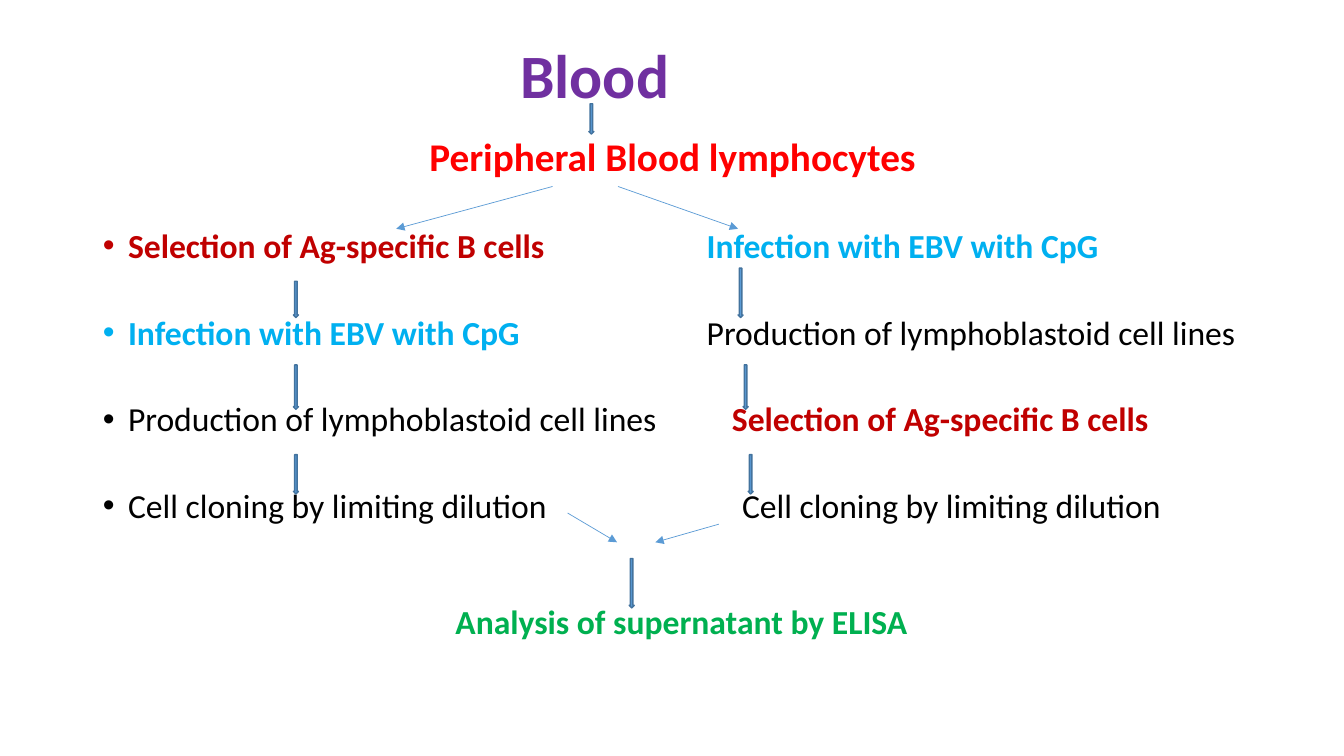
from lxml import etree
from pptx import Presentation
from pptx import util as u
from pptx.dml.color import RGBColor
from pptx.enum import shapes, text
from pptx.oxml.ns import qn

PURPLE = RGBColor(0x70, 0x30, 0xA0)
RED = RGBColor(0xFF, 0x00, 0x00)
DARK_RED = RGBColor(0xC0, 0x00, 0x00)
SKY = RGBColor(0x00, 0xB0, 0xF0)
GREEN = RGBColor(0x00, 0xB0, 0x50)
BLACK = RGBColor(0x00, 0x00, 0x00)
ARROW_FILL = RGBColor(0x5B, 0x9B, 0xD5)
ARROW_EDGE = RGBColor(0x43, 0x73, 0x9E)

SELECTION = ("Selection of Ag-specific B cells", DARK_RED, True)
INFECTION = ("Infection with EBV with CpG", SKY, True)
PRODUCTION = ("Production of lymphoblastoid cell lines", BLACK, False)
CLONING = ("Cell cloning by limiting dilution", BLACK, False)

STEP_SIZE = 24
STEP_GAP = 33.2
BULLET_INDENT = 0.25


def add_frame(page, left, top, width, height):
    frame = page.shapes.add_textbox(
        u.Inches(left), u.Inches(top), u.Inches(width), u.Inches(height)).text_frame
    frame.word_wrap = True
    frame.margin_left = frame.margin_right = 0
    frame.margin_top = frame.margin_bottom = 0
    return frame


def add_span(para, wording, size, color, bold):
    span = para.add_run()
    span.text = wording
    span.font.name = "Calibri"
    span.font.size = u.Pt(size)
    span.font.bold = bold
    span.font.color.rgb = color


def add_heading(page, left, top, width, wording, size, color):
    frame = add_frame(page, left, top, width, size / 55)
    para = frame.paragraphs[0]
    para.alignment = text.PP_ALIGN.CENTER
    add_span(para, wording, size, color, True)


def set_indent(para, margin, bulleted):
    properties = para._p.get_or_add_pPr()
    properties.set("marL", str(u.Inches(margin)))
    if bulleted:
        properties.set("indent", str(-u.Inches(margin)))
        etree.SubElement(properties, qn("a:buFont")).set("typeface", "Arial")
        etree.SubElement(properties, qn("a:buChar")).set("char", "•")


def add_steps(page, left, width, steps, margins, bulleted):
    """Write one route of the protocol as evenly spaced paragraphs."""
    frame = add_frame(page, left, 2.23, width, 3.1)
    for index, (step, margin) in enumerate(zip(steps, margins)):
        para = frame.add_paragraph() if index else frame.paragraphs[0]
        set_indent(para, margin, bulleted)
        if index:
            para.space_before = u.Pt(STEP_GAP)
        wording, color, bold = step
        add_span(para, wording, STEP_SIZE, color, bold)


def add_down_arrow(page, left, top, height):
    arrow = page.shapes.add_shape(
        shapes.MSO_SHAPE.DOWN_ARROW, u.Inches(left), u.Inches(top),
        u.Inches(0.05), u.Inches(height))
    arrow.shadow.inherit = False
    arrow.fill.solid()
    arrow.fill.fore_color.rgb = ARROW_FILL
    arrow.line.color.rgb = ARROW_EDGE
    arrow.line.width = u.Pt(1)


def add_thin_arrow(page, start, end):
    arrow = page.shapes.add_connector(
        shapes.MSO_CONNECTOR.STRAIGHT, *(u.Inches(value) for value in start + end))
    arrow.line.color.rgb = ARROW_FILL
    arrow.line.width = u.Pt(0.5)
    line = arrow.line._get_or_add_ln()
    etree.SubElement(line, qn("a:tailEnd")).set("type", "triangle")
    etree.SubElement(arrow._element.spPr, qn("a:effectLst"))


def main():
    deck = Presentation()
    deck.slide_width = u.Inches(13.33)
    deck.slide_height = u.Inches(7.5)
    page = deck.slides.add_slide(deck.slide_layouts[6])

    add_heading(page, 4.9, 0.37, 2, "Blood", 44, PURPLE)
    add_heading(page, 3.67, 1.31, 6, "Peripheral Blood lymphocytes", 28, RED)
    add_steps(page, 1.02, 5.8, (SELECTION, INFECTION, PRODUCTION, CLONING),
              [BULLET_INDENT] * 4, True)
    add_steps(page, 7.01, 5.8, (INFECTION, PRODUCTION, SELECTION, CLONING),
              (0, 0, 0.25, 0.35), False)
    add_heading(page, 3.76, 5.96, 6, "Analysis of supernatant by ELISA", STEP_SIZE, GREEN)

    for start, end in (((6.13, 1.85), (7.32, 2.27)), ((5.48, 1.85), (3.93, 2.27)),
                       ((5.63, 5.09), (6.12, 5.38)), ((7.13, 5.2), (6.5, 5.38))):
        add_thin_arrow(page, start, end)

    for left, top, height in ((5.84, 1.03, 0.3), (6.24, 5.54, 0.49),
                              (2.91, 2.79, 0.36), (7.32, 2.66, 0.49)):
        add_down_arrow(page, left, top, height)
    for top, height, right_route in ((3.62, 0.44, 7.37), (4.51, 0.39, 7.42)):
        for left in (2.91, right_route):
            add_down_arrow(page, left, top, height)

    deck.save("out.pptx")


if __name__ == "__main__":
    main()
